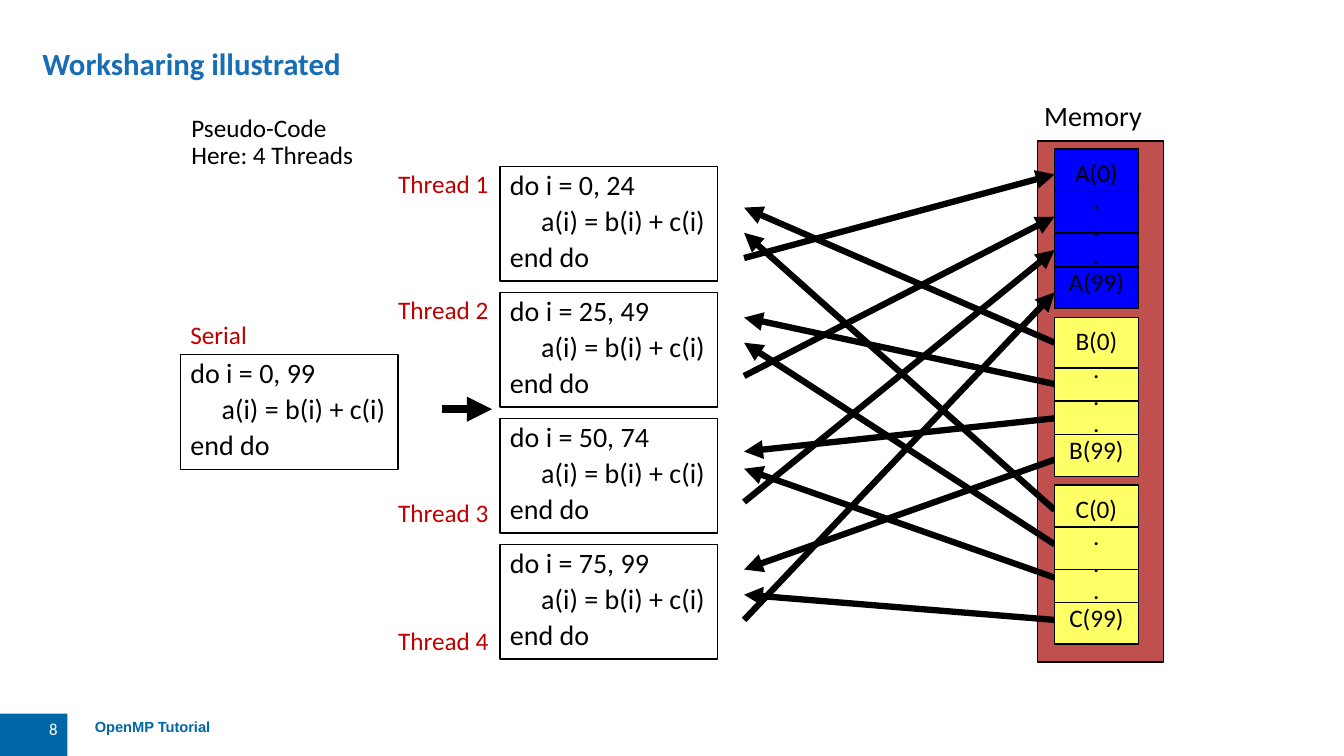
from lxml.etree import SubElement
from pptx import Presentation
from pptx.dml.color import RGBColor
from pptx.enum.shapes import MSO_CONNECTOR, MSO_SHAPE
from pptx.enum.text import MSO_ANCHOR, PP_ALIGN
from pptx.oxml.ns import qn
from pptx.util import Inches, Pt

COLORS = {
    "black": "000000",
    "white": "FFFFFF",
    "title": "176DB6",
    "footer": "0067A6",
    "label": "C00000",
    "memory": "C0504D",
    "result": "0000FF",
    "operand": "FFFF66",
}


class SlideBuilder:
    """Draws styled elements on one slide."""

    def __init__(self, slide):
        self.slide = slide
        self.font = "Calibri"

    def color(self, name):
        return RGBColor.from_string(COLORS[name])

    def add_lines(self, shape, lines, size=18, color="black", font=None, bold=False,
                  align=PP_ALIGN.LEFT, anchor=MSO_ANCHOR.TOP, spacing=0.9,
                  before=0, wrap=False, indents=()):
        frame = shape.text_frame
        frame.word_wrap = wrap
        frame.vertical_anchor = anchor
        for index, line in enumerate(lines):
            paragraph = frame.paragraphs[0] if index == 0 else frame.add_paragraph()
            paragraph.alignment = align
            paragraph.line_spacing = spacing
            paragraph.space_before = Pt(before)
            if index in indents:
                paragraph._p.get_or_add_pPr().set("marL", str(Inches(0.31)))
            run = paragraph.add_run()
            run.text = line
            run.font.name = font or self.font
            run.font.size = Pt(size)
            run.font.bold = bold
            run.font.color.rgb = self.color(color)

    def text(self, left, top, width, height, lines, inset=True, **style):
        shape = self.slide.shapes.add_textbox(
            Inches(left), Inches(top), Inches(width), Inches(height))
        if not inset:
            frame = shape.text_frame
            frame.margin_left = frame.margin_right = 0
            frame.margin_top = frame.margin_bottom = 0
        self.add_lines(shape, lines, **style)

    def box(self, left, top, width, height, fill=None, outline=True, lines=(), **style):
        shape = self.slide.shapes.add_shape(
            MSO_SHAPE.RECTANGLE, Inches(left), Inches(top), Inches(width), Inches(height))
        shape.shadow.inherit = False
        if fill:
            shape.fill.solid()
            shape.fill.fore_color.rgb = self.color(fill)
        else:
            shape.fill.background()
        if outline:
            shape.line.color.rgb = self.color("black")
            shape.line.width = Pt(1)
        else:
            shape.line.fill.background()
        self.add_lines(shape, lines, **style)

    def code(self, left, top, first, last):
        lines = [f"do i = {first}, {last}", "a(i) = b(i) + c(i)", "end do"]
        self.box(left, top, 2.16, 1.14, lines=lines, size=20, before=4, indents=(1,))

    def line(self, start, end, width=1, arrow=False):
        connector = self.slide.shapes.add_connector(
            MSO_CONNECTOR.STRAIGHT, Inches(start[0]), Inches(start[1]),
            Inches(end[0]), Inches(end[1]))
        connector.line.color.rgb = self.color("black")
        connector.line.width = Pt(width)
        properties = connector._element.spPr
        if arrow:
            SubElement(properties.find(qn("a:ln")), qn("a:tailEnd"), type="triangle")
        SubElement(properties, qn("a:effectLst"))


def main():
    presentation = Presentation()
    presentation.slide_width = Inches(13.33)
    presentation.slide_height = Inches(7.5)
    builder = SlideBuilder(presentation.slides.add_slide(presentation.slide_layouts[6]))

    builder.text(0.94, 7.12, 6.19, 0.3, ["OpenMP Tutorial"], inset=False, size=10.5,
                 color="footer", font="Arial", bold=True, spacing=1.0, wrap=True)
    builder.box(0, 7.08, 0.67, 0.42, fill="footer", outline=False, lines=["8"], size=12,
                color="white", align=PP_ALIGN.RIGHT, spacing=1.0, wrap=True)
    builder.box(10.29, 1.4, 1.25, 5.17, fill="memory")
    builder.text(0.42, 0.22, 12.56, 0.59, ["Worksharing illustrated"], inset=False, size=22,
                 color="title", bold=True, anchor=MSO_ANCHOR.BOTTOM, spacing=1.0, wrap=True)

    builder.code(1.79, 3.52, 0, 99)
    for thread in range(4):
        builder.code(4.96, 1.65 + 1.25 * thread, 25 * thread, 25 * thread + 24)
    builder.line((4.38, 4.06), (4.88, 4.06), width=6, arrow=True)

    thread_x, memory_x, memory_right = 7.38, 10.46, 11.29
    stores = [(2.56, 1.73), (3.73, 2.15), (4.98, 2.48), (6.15, 2.9)]
    loads = [(3.4, 2.06), (3.81, 3.15), (4.15, 4.48), (4.56, 5.65),
             (5.06, 2.31), (5.4, 3.4), (5.73, 4.65), (6.15, 5.9)]
    for start, end in stores:
        builder.line((thread_x, start), (memory_x, end), width=4.5, arrow=True)
    for start, end in loads:
        builder.line((memory_x, start), (thread_x, end), width=4.5, arrow=True)

    builder.text(10.25, 0.97, 1.18, 0.4, ["Memory"], size=20, align=PP_ALIGN.CENTER)
    builder.text(1.8, 1.1, 1.83, 0.64, ["Pseudo-Code", "Here: 4 Threads"])
    for number, top in enumerate([1.65, 2.9, 4.92, 6.19], start=1):
        builder.text(3.85, top, 1.11, 0.37, [f"Thread {number}"], color="label")
    builder.text(1.79, 3.15, 0.77, 0.37, ["Serial"], color="label")

    arrays = [
        ("A", 1.48, "result", [1.9, 2.31, 2.65]),
        ("B", 3.15, "operand", [3.65, 3.98, 4.31]),
        ("C", 4.81, "operand", [5.23, 5.65, 5.98]),
    ]
    for name, top, fill, dividers in arrays:
        cells = [f"{name}(0)", ".", ".", ".", f"{name}(99)"]
        builder.box(memory_x, top, memory_right - memory_x, 1.58, fill=fill, lines=cells,
                    align=PP_ALIGN.CENTER, anchor=MSO_ANCHOR.MIDDLE)
        for divider in dividers:
            builder.line((memory_x, divider), (memory_right, divider))

    presentation.save("out.pptx")


if __name__ == "__main__":
    main()
